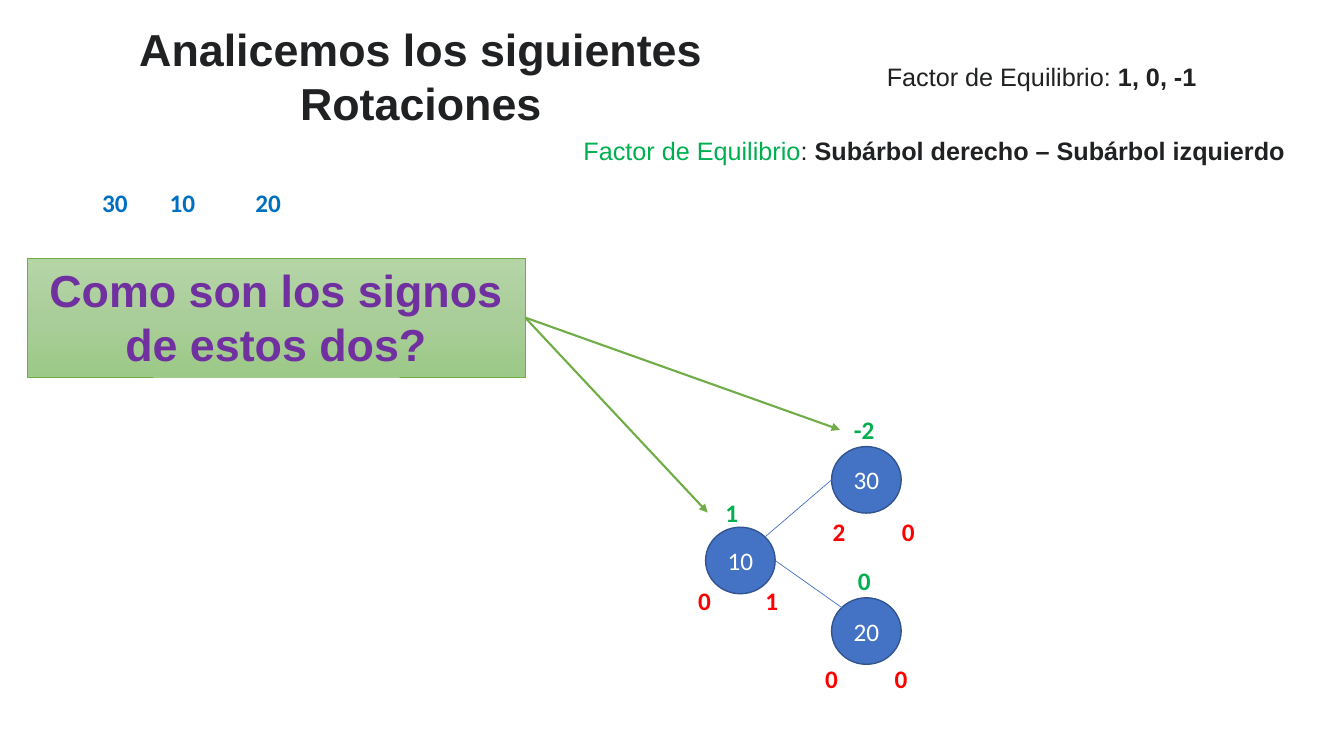
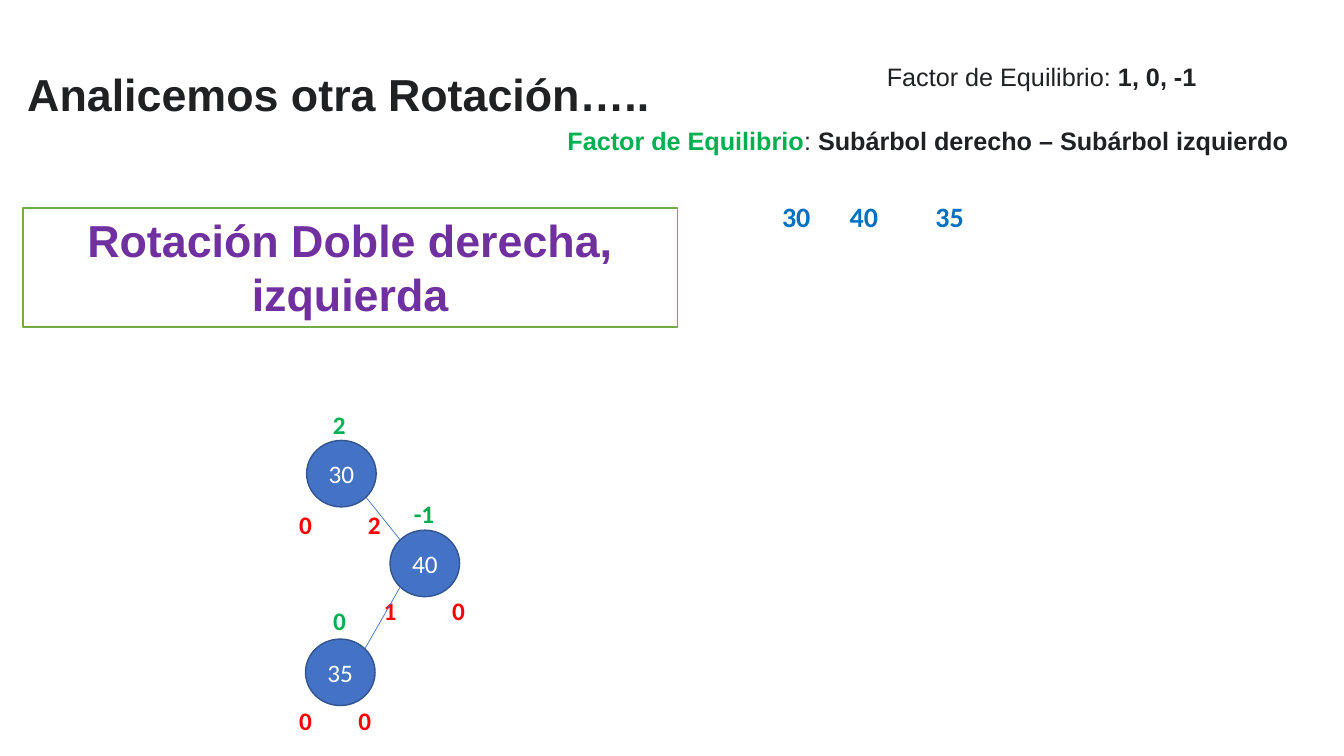
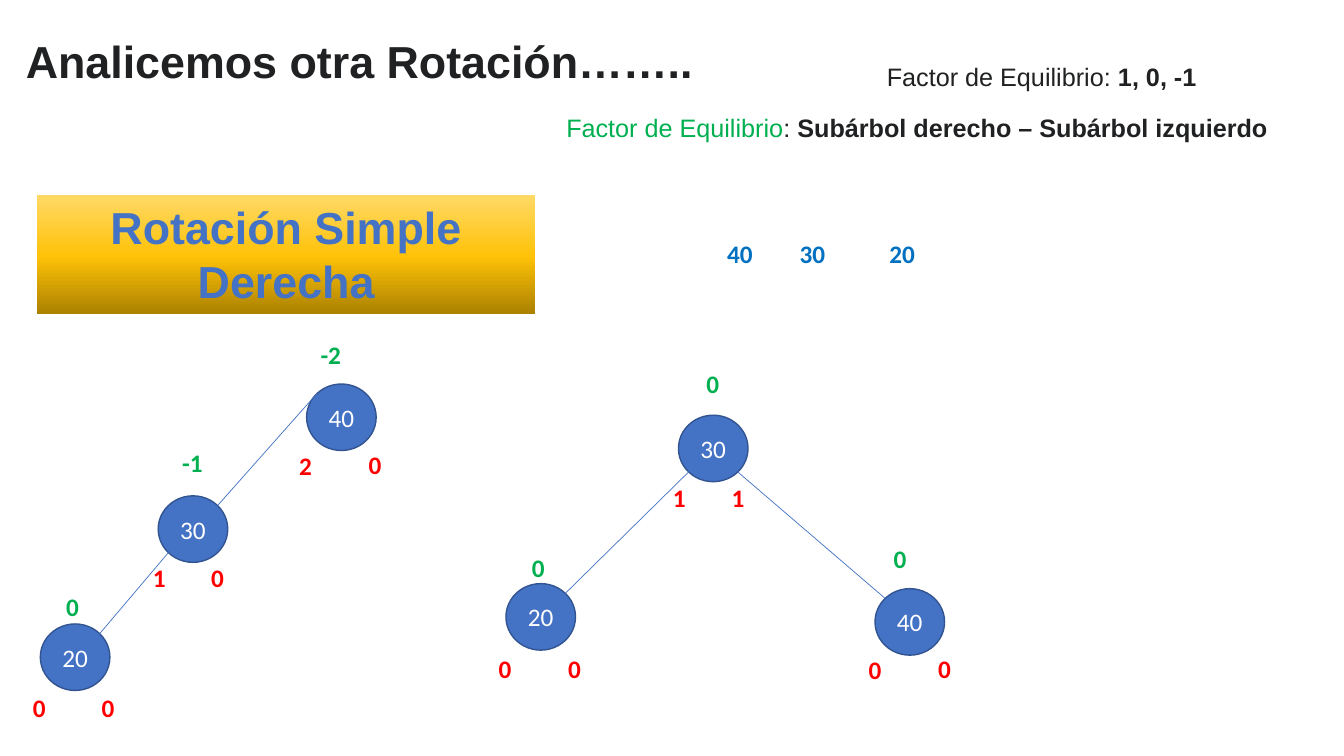
from math import sqrt

from lxml.etree import SubElement
from pptx import Presentation
from pptx.dml.color import RGBColor
from pptx.enum.shapes import MSO_CONNECTOR, MSO_SHAPE
from pptx.enum.text import MSO_ANCHOR, MSO_AUTO_SIZE, PP_ALIGN
from pptx.oxml.ns import qn
from pptx.util import Pt

COLORS = {
    "ink": "202122",
    "balance": "00B050",
    "height": "FF0000",
    "key": "0070C0",
    "node": "4472C4",
    "node_line": "325491",
    "white": "FFFFFF",
    "accent": "70AD47",
    "purple": "7030A0",
}
HEADING_FONT, BODY_FONT = "Arial", "Calibri"
HEADING_SIZE, TEXT_SIZE = 32, 18
NODE_WIDTH, NODE_HEIGHT = 49.7, 47.5
LABEL_WIDTH, LABEL_HEIGHT = 34.5, 29
CALLOUT_HEIGHT = 85
CORNER = 1 / sqrt(2)
SITES = {
    "left": (-1, 0),
    "right": (1, 0),
    "top left": (-CORNER, -CORNER),
    "top right": (CORNER, -CORNER),
    "bottom left": (-CORNER, CORNER),
    "bottom right": (CORNER, CORNER),
}

# Node: key, position, (balance, dx, dy), (left height, dx, dy), (right height, dx, dy)
SLIDES = [
    {
        "title": ("Analicemos los siguientes Rotaciones", 19.5, 12.2, 562.3, 85),
        "formula": (409.7, 92.9, False),
        "keys": (130.3, 18, [("30", 64.8), ("10", 113), ("20", 174.2)]),
        "callout": {
            "text": "Como son los signos de estos dos?",
            "at": (19.4, 184.3, 355.7),
            "stops": [(0, "B5D5A7"), (50, "AACE9A"), (100, "9CC987")],
            "line": 0.5,
            "color": "purple",
        },
        "nodes": [
            ("30", 594, 319, ("-2", 6, -26.5), ("2", -12, 46), ("0", 37.5, 46)),
            ("10", 504, 376.6, ("1", 1.5, -25), ("0", -18, 38), ("1", 30, 38)),
            ("20", 594, 427, ("0", 6, -26.5), ("0", -17.3, 43), ("0", 32.4, 43)),
        ],
        "edges": [(1, "right", 2, "top left"), (0, "left", 1, "top right")],
        "arrows_to": [0, 1],
    },
    {
        "title": ("Analicemos otra Rotación…..", 8, 43.9, 468, 46),
        "formula": (398.2, 85.7, True),
        "keys": (139, 20, [("30", 551.5), ("40", 599.8), ("35", 661)]),
        "callout": {
            "text": "Rotación Doble derecha, izquierda",
            "at": (16.5, 148.5, 467.3),
            "stops": [],
            "line": 1,
            "color": "purple",
        },
        "nodes": [
            ("30", 219, 314.6, ("2", 6, -26), ("0", -18, 46), ("2", 31, 46)),
            ("40", 278.6, 378.7, ("-1", 7, -26), ("1", -17.3, 43), ("0", 31.7, 43)),
            ("35", 218.2, 456.5, ("0", 7, -28), ("0", -17.3, 44), ("0", 25, 44)),
        ],
        "edges": [(0, "bottom right", 1, "top left"), (1, "bottom left", 2, "top right")],
        "arrows_to": [],
    },
    {
        "title": ("Analicemos otra Rotación……..", 1.4, 20.2, 511.2, 46),
        "formula": (397.4, 77, False),
        "keys": (167, 18, [("40", 511.2), ("30", 563), ("20", 627.1)]),
        "callout": {
            "text": "Rotación Simple Derecha",
            "at": (26.6, 139, 355.7),
            "stops": [(0, "FFD966"), (52, "FFC208"), (100, "AB8100")],
            "line": 0,
            "color": "node",
        },
        "nodes": [
            ("40", 219, 274.3, ("-2", 0, -35.3), ("2", -18, 44), ("0", 31.7, 43.3)),
            ("30", 113, 354.2, ("-1", 7.2, -38), ("1", -16.5, 44), ("0", 25.2, 44)),
            ("20", 28.8, 445.7, ("0", 5.8, -26.7), ("0", -18, 45.3), ("0", 31, 45.3)),
            ("30", 484.6, 296.6, ("0", 7.2, -37.4), ("1", -16.6, 44), ("1", 25.2, 44)),
            ("20", 361.4, 416.9, ("0", 5.8, -26), ("0", -18, 46), ("0", 31.7, 46)),
            ("40", 625, 420.5, ("0", 0.7, -36), ("0", -17.3, 43.3), ("0", 32.4, 42.5)),
        ],
        "edges": [
            (1, "top right", 0, "top left"),
            (2, "top right", 1, "bottom left"),
            (3, "bottom right", 5, "top left"),
            (4, "top right", 3, "bottom left"),
        ],
        "arrows_to": [],
    },
]


def rgb(name):
    return RGBColor.from_string(COLORS[name])


def format_text(shape, text, font, size, color, bold):
    frame = shape.text_frame
    frame.word_wrap = True
    frame.text = text
    paragraph = frame.paragraphs[0]
    paragraph.alignment = PP_ALIGN.CENTER
    paragraph.font.name = font
    paragraph.font.size = Pt(size)
    paragraph.font.bold = bold
    paragraph.font.color.rgb = rgb(color)


def add_title(slide, text, left, top, width, height):
    title = slide.shapes.title
    title.left, title.top, title.width, title.height = map(Pt, (left, top, width, height))
    format_text(title, text, HEADING_FONT, HEADING_SIZE, "ink", True)
    title.text_frame.auto_size = MSO_AUTO_SIZE.NONE
    title.text_frame.vertical_anchor = MSO_ANCHOR.TOP


def add_rich_line(slide, left, top, width, runs):
    box = slide.shapes.add_textbox(Pt(left), Pt(top), Pt(width), Pt(LABEL_HEIGHT))
    box.text_frame.word_wrap = True
    paragraph = box.text_frame.paragraphs[0]
    paragraph.font.name = HEADING_FONT
    paragraph.font.size = Pt(TEXT_SIZE)
    for text, color, bold in runs:
        run = paragraph.add_run()
        run.text = text
        run.font.bold = bold
        run.font.color.rgb = rgb(color)


def add_label(slide, text, left, top, color, size=TEXT_SIZE):
    box = slide.shapes.add_textbox(Pt(left), Pt(top), Pt(LABEL_WIDTH), Pt(LABEL_HEIGHT))
    format_text(box, text, BODY_FONT, size, color, True)


def add_node(slide, key, left, top, balance, *heights):
    node = slide.shapes.add_shape(
        MSO_SHAPE.OVAL, Pt(left), Pt(top), Pt(NODE_WIDTH), Pt(NODE_HEIGHT)
    )
    node.shadow.inherit = False
    node.fill.solid()
    node.fill.fore_color.rgb = rgb("node")
    node.line.color.rgb = rgb("node_line")
    node.line.width = Pt(1)
    format_text(node, key, BODY_FONT, TEXT_SIZE, "white", False)
    node.text_frame.vertical_anchor = MSO_ANCHOR.MIDDLE
    for (text, dx, dy), color in zip((balance, *heights), ("balance", "height", "height")):
        add_label(slide, text, left + dx, top + dy, color)


def add_callout(slide, callout):
    left, top, width = callout["at"]
    box = slide.shapes.add_shape(
        MSO_SHAPE.RECTANGLE, Pt(left), Pt(top), Pt(width), Pt(CALLOUT_HEIGHT)
    )
    box.shadow.inherit = False
    if callout["stops"]:
        box.fill.gradient()
        box.fill.gradient_angle = 270
        stop_list = box._element.spPr.find(".//" + qn("a:gsLst"))
        stop_list.clear()
        for position, color in callout["stops"]:
            stop = SubElement(stop_list, qn("a:gs"), pos=str(position * 1000))
            SubElement(stop, qn("a:srgbClr"), val=color)
    else:
        box.fill.solid()
        box.fill.fore_color.rgb = rgb("white")
    if callout["line"]:
        box.line.color.rgb = rgb("accent")
        box.line.width = Pt(callout["line"])
    else:
        box.line.fill.background()
    format_text(box, callout["text"], HEADING_FONT, HEADING_SIZE, callout["color"], True)
    box.text_frame.vertical_anchor = MSO_ANCHOR.TOP


def add_line(slide, start, end, color, width, arrow=False):
    line = slide.shapes.add_connector(MSO_CONNECTOR.STRAIGHT, *map(Pt, (*start, *end)))
    line.line.color.rgb = rgb(color)
    line.line.width = Pt(width)
    properties = line._element.spPr
    if arrow:
        SubElement(properties.find(qn("a:ln")), qn("a:tailEnd"), type="triangle")
    SubElement(properties, qn("a:effectLst"))


def node_site(node, site):
    _, left, top, *_ = node
    across, down = SITES[site]
    return left + NODE_WIDTH / 2 * (1 + across), top + NODE_HEIGHT / 2 * (1 + down)


def build_slide(presentation, content):
    slide = presentation.slides.add_slide(presentation.slide_layouts[5])
    add_title(slide, *content["title"])
    add_rich_line(slide, 626.4, 40.3, 240, [
        ("Factor de Equilibrio: ", "ink", False),
        ("1, 0, -1", "ink", True),
    ])
    left, top, bold = content["formula"]
    add_rich_line(slide, left, top, 550, [
        ("Factor de Equilibrio", "balance", bold),
        (": ", "ink", False),
        ("Subárbol derecho – Subárbol izquierdo", "ink", True),
    ])
    top, size, keys = content["keys"]
    for key, left in keys:
        add_label(slide, key, left, top, "key", size)
    add_callout(slide, content["callout"])
    nodes = content["nodes"]
    for node in nodes:
        add_node(slide, *node)
    for start, start_site, end, end_site in content["edges"]:
        add_line(slide, node_site(nodes[start], start_site),
                 node_site(nodes[end], end_site), "node", 0.5)
    left, top, width = content["callout"]["at"]
    for index in content["arrows_to"]:
        _, node_left, node_top, (_, dx, dy), *_ = nodes[index]
        target = node_left + dx, node_top + dy + LABEL_HEIGHT / 2
        add_line(slide, (left + width, top + CALLOUT_HEIGHT / 2), target, "accent", 1.5, True)


def main():
    presentation = Presentation()
    presentation.slide_width, presentation.slide_height = Pt(960), Pt(540)
    for content in SLIDES:
        build_slide(presentation, content)
    presentation.save("out.pptx")


if __name__ == "__main__":
    main()
